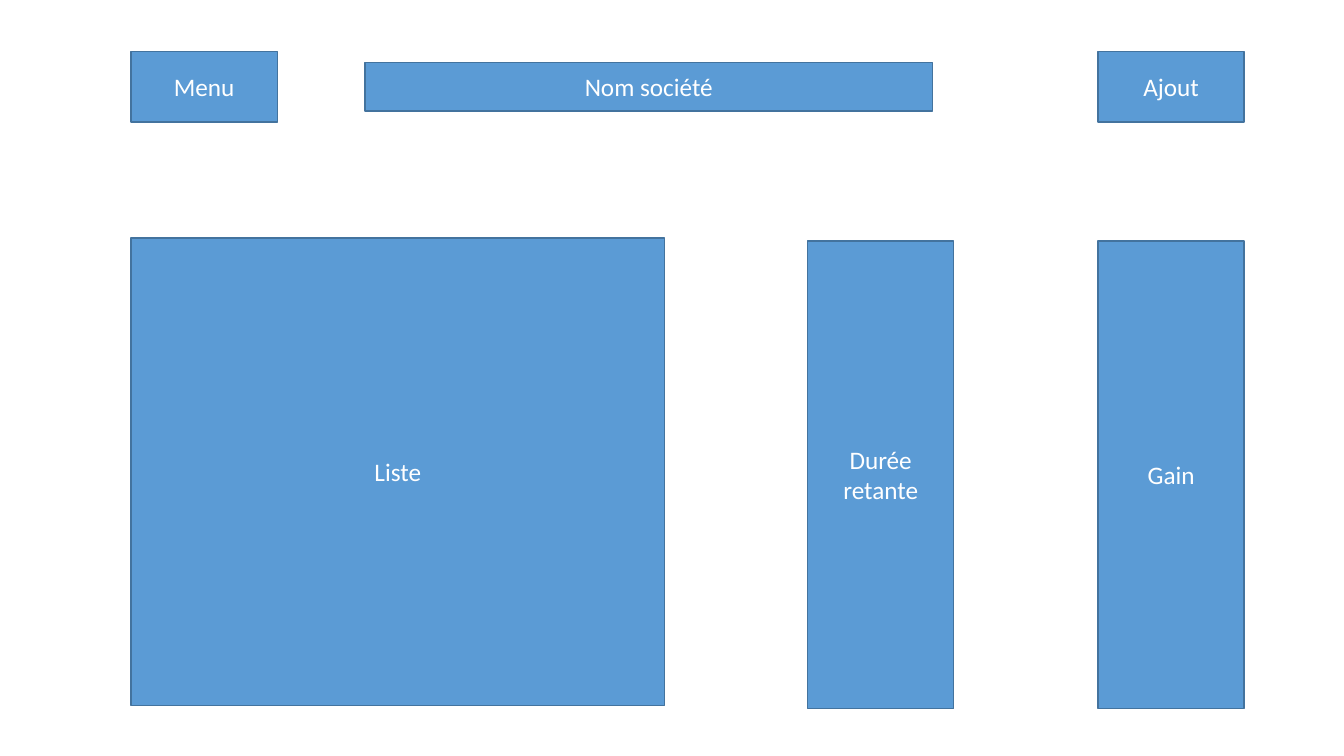
from pptx import Presentation
from pptx.dml.color import RGBColor
from pptx.enum.shapes import MSO_SHAPE
from pptx.enum.text import MSO_ANCHOR, PP_ALIGN
from pptx.util import Inches, Pt

FILL = "5B9BD5"
OUTLINE = "43739E"
TEXT = "FFFFFF"
FONT_FORMAT = {"name": "Calibri", "size": Pt(18)}

LEFT_EDGE = 1.3
RIGHT_COLUMN = 10.89
NARROW = 1.45
BUTTON_TOP, BUTTON_HEIGHT = 0.51, 0.7
COLUMN_TOP, PANEL_HEIGHT = 2.39, 4.64

BLOCKS = [
    ("Nom société", 3.62, 0.62, 5.63, 0.48),
    ("Liste", LEFT_EDGE, 2.36, 5.29, PANEL_HEIGHT),
    ("Durée retante", 8.01, COLUMN_TOP, NARROW, PANEL_HEIGHT),
    ("Ajout", RIGHT_COLUMN, BUTTON_TOP, NARROW, BUTTON_HEIGHT),
    ("Gain", RIGHT_COLUMN, COLUMN_TOP, NARROW, PANEL_HEIGHT),
    ("Menu", LEFT_EDGE, BUTTON_TOP, NARROW, BUTTON_HEIGHT),
]


def paint(color_format, color):
    color_format.rgb = RGBColor.from_string(color)


def write_label(box, text):
    frame = box.text_frame
    frame.word_wrap = True
    frame.vertical_anchor = MSO_ANCHOR.MIDDLE
    para = frame.paragraphs[0]
    para.alignment = PP_ALIGN.CENTER
    span = para.add_run()
    span.text = text
    for attribute, value in FONT_FORMAT.items():
        setattr(span.font, attribute, value)
    paint(span.font.color, TEXT)


def add_block(page, text, left, top, width, height):
    box = page.shapes.add_shape(
        MSO_SHAPE.RECTANGLE,
        Inches(left), Inches(top), Inches(width), Inches(height),
    )
    box.shadow.inherit = False
    box.fill.solid()
    paint(box.fill.fore_color, FILL)
    box.line.width = Pt(1)
    paint(box.line.color, OUTLINE)
    write_label(box, text)


def main():
    deck = Presentation()
    deck.slide_width = Inches(13.33)
    deck.slide_height = Inches(7.5)
    page = deck.slides.add_slide(deck.slide_layouts[6])
    for block in BLOCKS:
        add_block(page, *block)
    deck.save("out.pptx")


if __name__ == "__main__":
    main()
